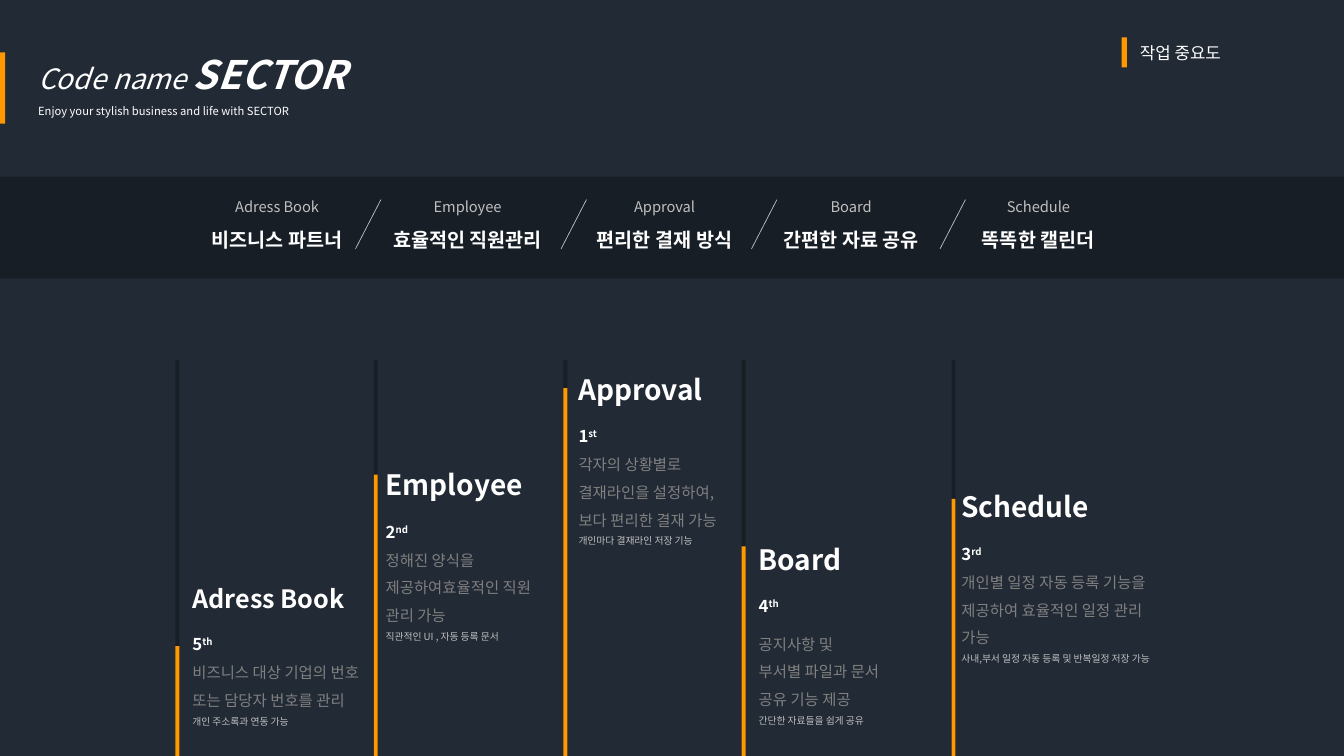
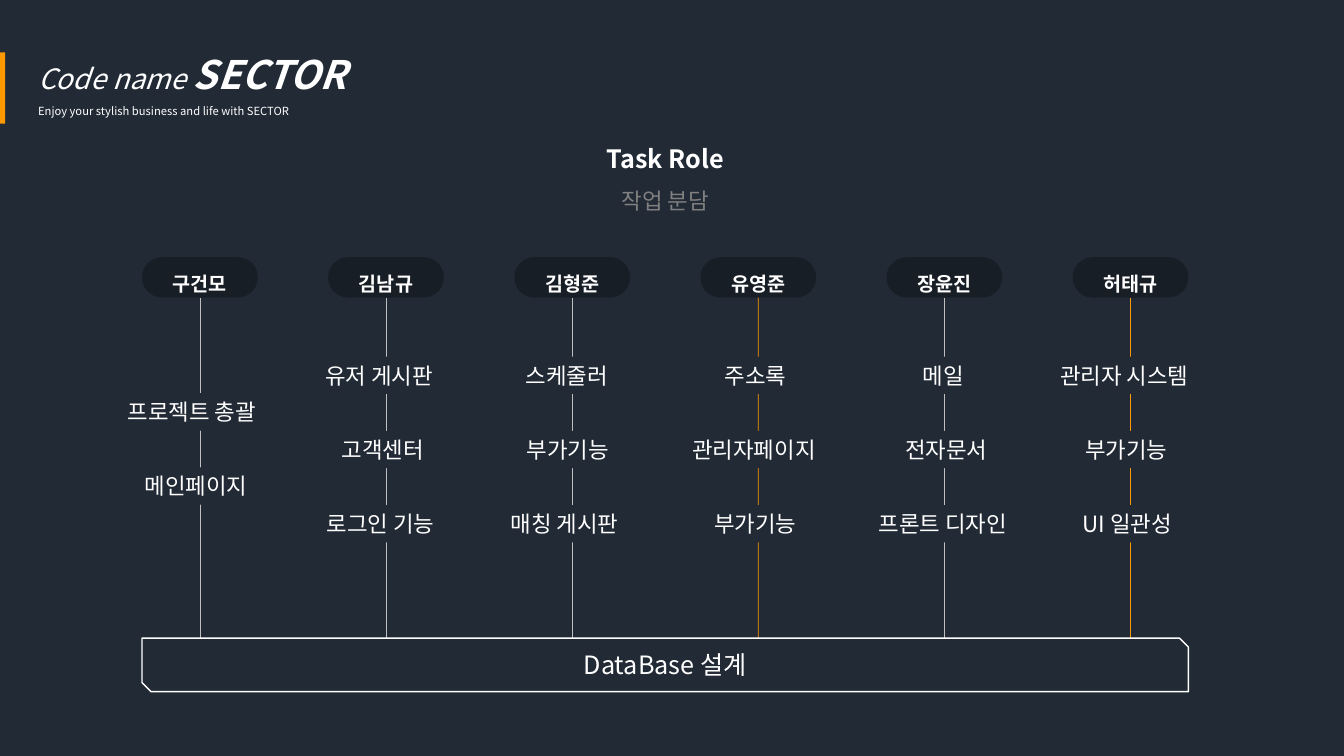
"""Builds two dark SECTOR slides: task importance and task roles."""
from lxml.etree import SubElement
from pptx import Presentation
from pptx.dml.color import RGBColor
from pptx.enum.shapes import MSO_CONNECTOR as CONN, MSO_SHAPE as SHAPE
from pptx.enum.text import MSO_ANCHOR as ANCHOR, MSO_AUTO_SIZE as FIT, PP_ALIGN as ALIGN
from pptx.oxml.ns import qn
from pptx.util import Cm, Pt

COLORS = {
    "back": "222A35",
    "band": "181E26",
    "accent": "FF9900",
    "line": "BFBFBF",
    "light": "BFBFBF",
    "muted": "808080",
    "white": "FFFFFF",
}
FONT = "Noto Sans CJK KR"
SLIDE_W, SLIDE_H = 33.87, 19.05
BAR_W, BAR_TOP = 0.1, 9.07
PILL_LEFT, PILL_TOP, PILL_W, PILL_H, PILL_STEP = 3.58, 6.48, 2.92, 1.02, 4.69
BASE_TOP, BASE_H = 16.08, 1.35
ROW_STEP = 1.87

NAV = [
    ("Adress Book", "비즈니스 파트너", 4.9, 4.17),
    ("Employee", "효율적인 직원관리", 9.45, 4.67),
    ("Approval", "편리한 결재 방식", 14.58, 4.34),
    ("Board", "간편한 자료 공유", 19.28, 4.34),
    ("Schedule", "똑똑한 캘린더", 24.33, 3.68),
]
SLASHES = [9.6, 14.78, 19.58, 24.33]

RANKS = [
    ("Adress Book", 18, "5", "th", ["비즈니스 대상 기업의 번호 또는 담당자 번호를 관리"], 1.5,
     "개인 주소록과 연동 가능", 4.42, 16.28, (4.6, 14.58, 5.03, 4.55)),
    ("Employee", 20, "2", "nd", ["정해진 양식을 제공하여효율적인 직원 관리 가능"], 1.5,
     "직관적인 UI , 자동 등록 문서", 9.42, 11.96, (9.47, 11.66, 4.9, 3.94)),
    ("Approval", 20, "1", "st", ["각자의 상황별로", "결재라인을 설정하여, 보다 편리한 결재 가능"], 1.5,
     "개인마다 결재라인 저장 기능", 14.2, 9.78, (14.33, 9.25, 4.67, 4.65)),
    ("Board", 20, "4", "th", ["공지사항 및", "부서별 파일과 문서", "공유 기능 제공"], 2.0,
     "간단한 자료들을 쉽게 공유", 18.69, 13.77, (18.87, 13.54, 4.5, 4.88)),
    ("Schedule", 20, "3", "rd", ["개인별 일정 자동 등록 기능을 제공하여 효율적인 일정 관리 가능"], 1.5,
     "사내,부서 일정 자동 등록 및 반복일정 저장 가능", 23.98, 12.57, (23.98, 12.22, 5.84, 5.11)),
]

ROLES = [
    ("구건모", "line", 9.91, [("프로젝트 총괄", 2.97, 4.14), ("메인페이지", 3.4, 3.35)]),
    ("김남규", "line", 8.99, [("유저 게시판", 7.95, 3.56), ("고객센터", 8.36, 2.79), ("로그인 기능", 7.98, 3.56)]),
    ("김형준", "line", 8.99, [("스케줄러", 13, 2.79), ("부가기능", 13.03, 2.79), ("매칭 게시판", 12.62, 3.56)]),
    ("유영준", "accent", 8.99, [("주소록", 18.01, 2.24), ("관리자페이지", 17.2, 4.14), ("부가기능", 17.75, 2.79)]),
    ("장윤진", "line", 8.99, [("메일", 23.01, 2.24), ("전자문서", 22.56, 3.02), ("프론트 디자인", 21.89, 4.37)]),
    ("허태규", "accent", 8.99, [("관리자 시스템", 26.47, 4.5), ("부가기능", 27.1, 2.79), ("UI 일관성", 27.03, 3.2)]),
]


def rgb(name):
    return RGBColor.from_string(COLORS[name])


def add_run(p, text, size, color="white", bold=False, italic=False, raised=False):
    r = p.add_run()
    r.text = text
    f = r.font
    f.size, f.bold, f.italic, f.name = Pt(size), bold, italic, FONT
    f.color.rgb = rgb(color)
    rpr = r._r.get_or_add_rPr()
    SubElement(rpr, qn("a:ea")).set("typeface", FONT)
    if raised:
        rpr.set("baseline", "30000")


def fill_text(tf, paragraphs, align=ALIGN.LEFT):
    for i, (spacing, runs) in enumerate(paragraphs):
        p = tf.add_paragraph() if i else tf.paragraphs[0]
        p.alignment, p.line_spacing = align, spacing
        for text, size, *style in runs:
            add_run(p, text, size, *style)


def add_text(slide, box, paragraphs, align=ALIGN.LEFT, wrap=True):
    tf = slide.shapes.add_textbox(*map(Cm, box)).text_frame
    tf.word_wrap, tf.auto_size = wrap, FIT.SHAPE_TO_FIT_TEXT
    fill_text(tf, paragraphs, align)


def add_block(slide, box, fill, kind=SHAPE.RECTANGLE, outline=None):
    sp = slide.shapes.add_shape(kind, *map(Cm, box))
    sp.shadow.inherit = False
    sp.fill.solid()
    sp.fill.fore_color.rgb = rgb(fill)
    if outline:
        sp.line.color.rgb, sp.line.width = rgb(outline), Pt(1)
    else:
        sp.line.fill.background()
    return sp


def add_line(slide, x1, y1, x2, y2, color):
    line = slide.shapes.add_connector(CONN.STRAIGHT, *map(Cm, (x1, y1, x2, y2)))
    line.line.color.rgb, line.line.width = rgb(color), Pt(0.5)
    SubElement(line._element.spPr, qn("a:effectLst"))
    return line


def add_base_slide(prs):
    slide = prs.slides.add_slide(prs.slide_layouts[6])
    slide.background.fill.solid()
    slide.background.fill.fore_color.rgb = rgb("back")
    add_block(slide, (0, 1.32, 0.13, 1.8), "accent")
    add_text(slide, (0.71, 0.56, 15.32, 2.57), [
        (1.5, [("Code name ", 20, "white", False, True), ("SECTOR", 28, "white", True, True)]),
        (1.5, [("Enjoy your stylish business and life with SECTOR", 8)]),
    ])
    return slide


def add_nav(slide):
    add_block(slide, (0, 4.45, SLIDE_W, 2.57), "band")
    for x in SLASHES:
        add_line(slide, x, 5.03, x - 0.64, 6.27, "line")
    for name, label, left, width in NAV:
        add_text(slide, (left, 4.65, width, 1.7), [
            (1.5, [(name, 10.5, "light")]),
            (1.5, [(label, 14, "white", True)]),
        ], ALIGN.CENTER, wrap=False)


def add_rank(slide, name, size, rank, suffix, body, first_spacing, note, bar_x, level, box):
    for top, color in ((BAR_TOP, "band"), (level, "accent")):
        add_block(slide, (bar_x, top, BAR_W, SLIDE_H - top), color)
    add_text(slide, box, [
        (1.0, [(name, size, "white", True)]),
        (2.0, [(rank, 12, "white", True), (suffix, 12, "white", True, False, True)]),
        *((1.5 if i else first_spacing, [(text, 11, "muted")]) for i, text in enumerate(body)),
        (1.5, [(note, 7, "light")]),
    ])


def add_role(slide, index, name, color, first_top, tasks):
    left = PILL_LEFT + index * PILL_STEP
    center = left + PILL_W / 2
    pill = add_block(slide, (left, PILL_TOP, PILL_W, PILL_H), "band", SHAPE.ROUNDED_RECTANGLE)
    pill.adjustments[0] = 0.5
    pill.text_frame.vertical_anchor = ANCHOR.MIDDLE
    fill_text(pill.text_frame, [(1.5, [(name, 14, "white", True)])], ALIGN.CENTER)
    line = add_line(slide, center, PILL_TOP + PILL_H, center, BASE_TOP + BASE_H, color)
    line.begin_connect(pill, 2)
    for row, (task, x, width) in enumerate(tasks):
        sp = add_block(slide, (x, first_top + row * ROW_STEP, width, 0.94), "back")
        tf = sp.text_frame
        tf.word_wrap, tf.auto_size = True, FIT.SHAPE_TO_FIT_TEXT
        tf.vertical_anchor = ANCHOR.TOP
        fill_text(tf, [(1.0, [(task, 16)])])


def build_importance(prs):
    slide = add_base_slide(prs)
    add_nav(slide)
    for rank in RANKS:
        add_rank(slide, *rank)
    add_block(slide, (28.27, 0.94, 0.13, 0.76), "accent")
    add_text(slide, (28.48, 0.94, 4.3, 0.76), [(1.0, [("작업 중요도", 12)])])


def build_roles(prs):
    slide = add_base_slide(prs)
    add_text(slide, (12.47, 3.1, 8.59, 2.31), [
        (1.5, [("Task Role", 18, "white", True)]),
        (1.5, [("작업 분담", 16, "muted")]),
    ], ALIGN.CENTER)
    for index, role in enumerate(ROLES):
        add_role(slide, index, *role)
    width = (len(ROLES) - 1) * PILL_STEP + PILL_W
    base = add_block(slide, (PILL_LEFT, BASE_TOP, width, BASE_H), "back",
                     SHAPE.SNIP_2_DIAG_RECTANGLE, "white")
    base.text_frame.vertical_anchor = ANCHOR.MIDDLE
    fill_text(base.text_frame, [(1.0, [("DataBase 설계", 18)])], ALIGN.CENTER)


def main():
    prs = Presentation()
    prs.slide_width, prs.slide_height = Cm(SLIDE_W), Cm(SLIDE_H)
    build_importance(prs)
    build_roles(prs)
    prs.save("out.pptx")


if __name__ == "__main__":
    main()
